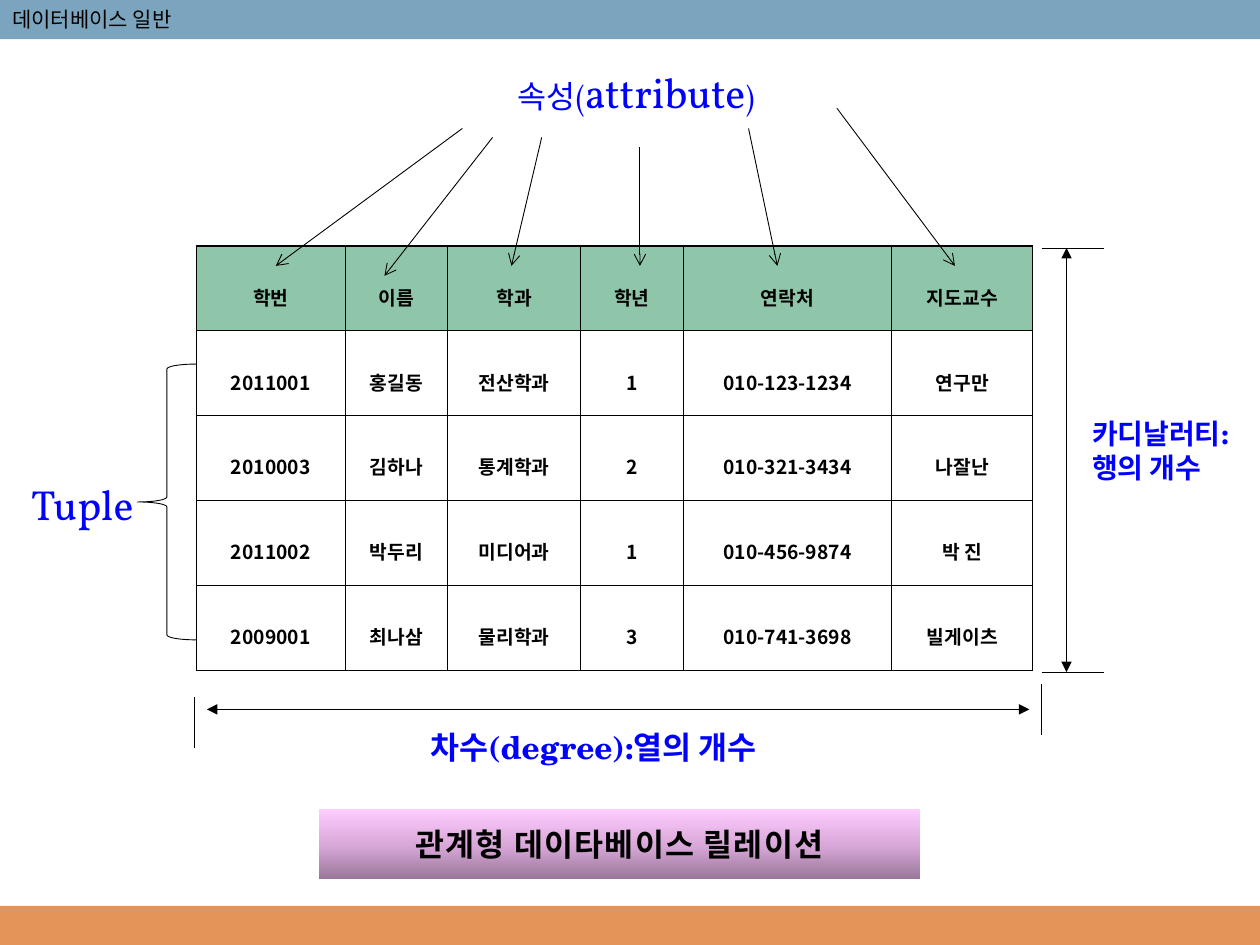
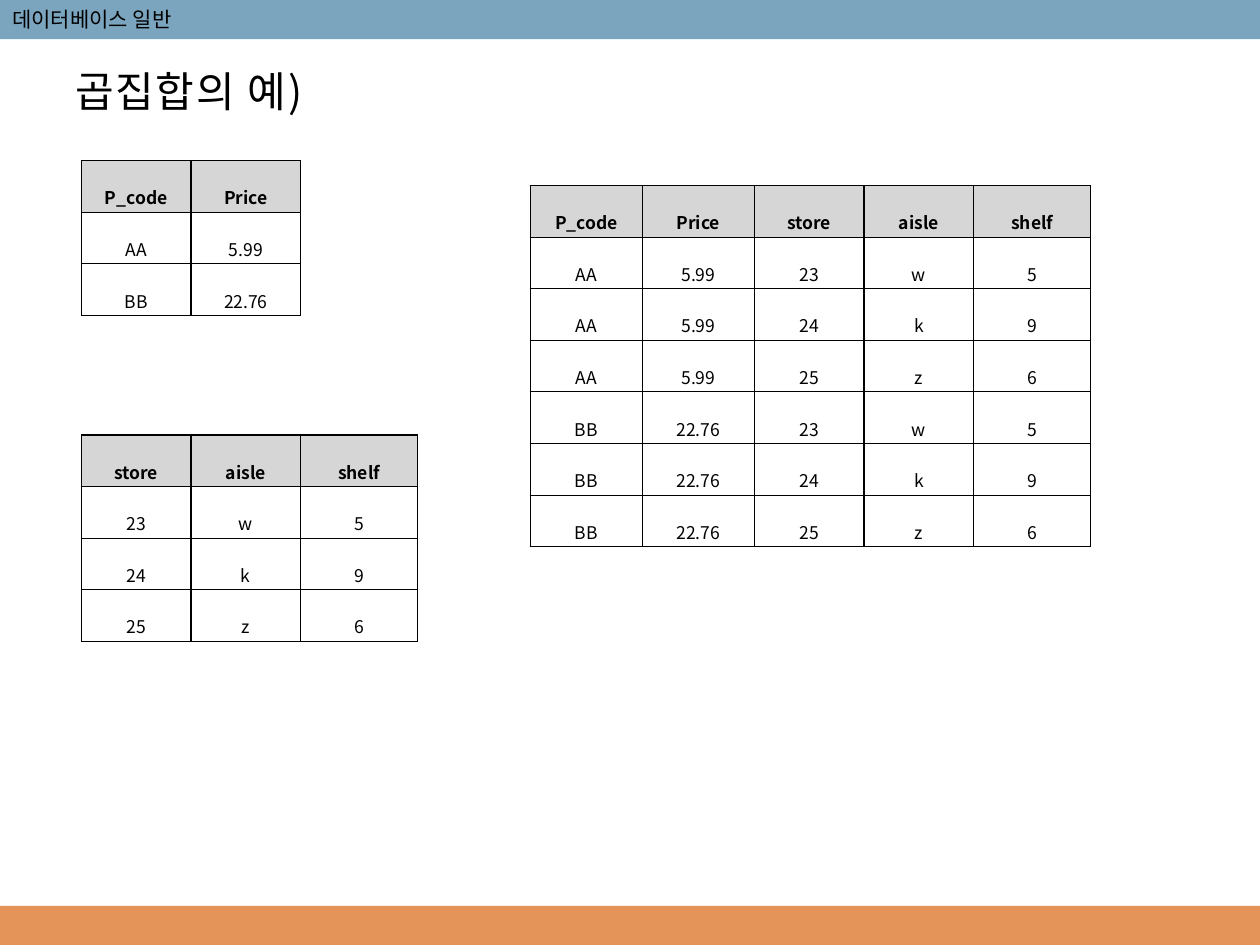
from copy import deepcopy
from dataclasses import dataclass
from itertools import product

from lxml.etree import SubElement
from pptx import Presentation
from pptx.dml.color import RGBColor as RGB
from pptx.enum.shapes import MSO_CONNECTOR as CONN, MSO_SHAPE as SHAPE
from pptx.enum.text import MSO_ANCHOR as ANCHOR, MSO_AUTO_SIZE as AUTO, PP_ALIGN as ALIGN
from pptx.oxml.ns import qn
from pptx.util import Cm, Pt


@dataclass(frozen=True)
class Theme:
    black: str = "000000"
    label: str = "0000FF"
    top_band: str = "7BA5BE"
    bottom_band: str = "E49458"
    relation_head: str = "8FC5A9"
    product_head: str = "D6D6D6"
    caption_stops: tuple = ((0, "997799"), (0.5, "DAA9DA"), (1, "FFCCFF"))
    sans: str = "Noto Sans CJK KR"
    schola: str = "TeX Gyre Schola"
    vollkorn: str = "Vollkorn"
    big: int = 24
    medium: int = 18
    small: int = 16
    header: int = 12
    relation: int = 11
    cell: int = 10
    rule: float = 0.5
    border: float = 0.75
    cell_spacing: float = 1.6


T = Theme()
WIDTH, HEIGHT, BAND = 25.4, 19.05, 0.79


def add_run(p, text, size, font=T.sans, color=T.black, bold=False, spacing=0):
    r = p.add_run()
    r.text = text
    r.font.size = Pt(size)
    r.font.bold = bold
    r.font.name = font
    r.font.color.rgb = RGB.from_string(color)
    r_pr = r._r.get_or_add_rPr()
    SubElement(r_pr, qn("a:ea")).set("typeface", T.sans)
    if spacing:
        r_pr.set("spc", str(round(spacing * 100)))


def add_text(s, left, top, width, height, lines, **style):
    """Add a text box; each line is a list of (text, size) runs."""
    box = s.shapes.add_textbox(Cm(left), Cm(top), Cm(width), Cm(height))
    tf = box.text_frame
    tf.word_wrap = True
    tf.auto_size = AUTO.SHAPE_TO_FIT_TEXT
    for i, line in enumerate(lines):
        p = tf.add_paragraph() if i else tf.paragraphs[0]
        for text, size in line:
            add_run(p, text, size, **style)


def add_shape(s, kind, left, top, width, height, fill=None, line=None):
    sp = s.shapes.add_shape(kind, Cm(left), Cm(top), Cm(width), Cm(height))
    sp.shadow.inherit = False
    if fill:
        sp.fill.solid()
        sp.fill.fore_color.rgb = RGB.from_string(fill)
    else:
        sp.fill.background()
    if line:
        sp.line.color.rgb = RGB.from_string(line)
        sp.line.width = Pt(T.rule)
    else:
        sp.line.fill.background()
    return sp


def add_line(s, x1, y1, x2, y2, head=None, tail=None):
    """Add a thin black line with optional arrowheads at its start and end."""
    c = s.shapes.add_connector(CONN.STRAIGHT, Cm(x1), Cm(y1), Cm(x2), Cm(y2))
    c.line.color.rgb = RGB.from_string(T.black)
    c.line.width = Pt(T.rule)
    sp_pr = c._element.spPr
    ln = sp_pr.find(qn("a:ln"))
    for tag, kind in (("a:headEnd", head), ("a:tailEnd", tail)):
        if kind:
            SubElement(ln, qn(tag)).set("type", kind)
    SubElement(sp_pr, qn("a:effectLst"))


def add_cell_borders(cell):
    tc_pr = cell._tc.get_or_add_tcPr()
    for side in "LRTB":
        ln = SubElement(tc_pr, qn(f"a:ln{side}"), w=str(Pt(T.border)))
        fill = SubElement(ln, qn("a:solidFill"))
        SubElement(fill, qn("a:srgbClr"), val=T.black)


def fill_cell(cell, text, size, bold, fill, margins):
    """Write one cell; margins are side, top and bottom in cm."""
    side, top, bottom = map(Cm, margins)
    cell.margin_left = cell.margin_right = side
    cell.margin_top, cell.margin_bottom = top, bottom
    cell.vertical_anchor = ANCHOR.MIDDLE
    add_cell_borders(cell)
    if fill:
        cell.fill.solid()
        cell.fill.fore_color.rgb = RGB.from_string(fill)
    else:
        cell.fill.background()
    p = cell.text_frame.paragraphs[0]
    p.alignment = ALIGN.CENTER
    p.line_spacing = T.cell_spacing
    add_run(p, text, size, bold=bold)


def add_grid(s, left, top, widths, row_height, rows, size, head_fill, margins, bold_body=False):
    frame = s.shapes.add_table(len(rows), len(widths), Cm(left), Cm(top),
                               Cm(sum(widths)), Cm(row_height * len(rows)))
    table = frame.table
    table.first_row = table.horz_banding = False
    for column, width in zip(table.columns, widths):
        column.width = Cm(width)
    for i, values in enumerate(rows):
        table.rows[i].height = Cm(row_height)
        is_head = i == 0
        for j, value in enumerate(values):
            fill_cell(table.cell(i, j), value, size, is_head or bold_body,
                      head_fill if is_head else None, margins)


def add_caption(s, text, left, top, width, height):
    """Add the bar that shades from dark at its foot to light at its top."""
    sp = add_shape(s, SHAPE.RECTANGLE, left, top, width, height)
    sp.fill.gradient()
    sp.fill.gradient_angle = 90
    stops = sp._element.spPr.find(".//" + qn("a:gsLst"))
    stops.insert(1, deepcopy(stops[0]))
    for stop, (position, color) in zip(sp.fill.gradient_stops, T.caption_stops):
        stop.position = position
        stop.color.rgb = RGB.from_string(color)
    tf = sp.text_frame
    tf.vertical_anchor = ANCHOR.MIDDLE
    p = tf.paragraphs[0]
    p.alignment = ALIGN.CENTER
    add_run(p, text, T.medium, T.schola, bold=True, spacing=0.7)


def new_slide(prs):
    """Add a blank slide with the bands and the running header."""
    s = prs.slides.add_slide(prs.slide_layouts[6])
    add_shape(s, SHAPE.RECTANGLE, 0, HEIGHT - BAND, WIDTH, BAND, T.bottom_band)
    add_shape(s, SHAPE.RECTANGLE, 0, 0, WIDTH, BAND, T.top_band)
    add_text(s, 0, 0, 4.39, 0.76, [[("데이터베이스 일반", T.header)]])
    return s


def add_relation_slide(prs):
    s = new_slide(prs)
    students = [
        ("학번", "이름", "학과", "학년", "연락처", "지도교수"),
        ("2011001", "홍길동", "전산학과", "1", "010-123-1234", "연구만"),
        ("2010003", "김하나", "통계학과", "2", "010-321-3434", "나잘난"),
        ("2011002", "박두리", "미디어과", "1", "010-456-9874", "박 진"),
        ("2009001", "최나삼", "물리학과", "3", "010-741-3698", "빌게이츠"),
    ]
    add_grid(s, 3.96, 4.96, (3, 2.06, 2.69, 2.06, 4.21, 2.84), 1.71, students,
             T.relation, T.relation_head, (0.05, 0.05, 0.05), bold_body=True)

    attribute_arrows = [
        (9.32, 2.59, 5.56, 5.36), (16.87, 2.18, 19.25, 5.36),
        (15.09, 2.59, 15.67, 5.36), (12.9, 2.97, 12.9, 5.36),
        (10.92, 2.77, 10.31, 5.36), (9.93, 2.77, 7.75, 5.56),
    ]
    for ends in attribute_arrows:
        add_line(s, *ends, tail="arrow")
    add_text(s, 10.19, 1.22, 6.32, 1.3,
             [[("속성(", T.medium), ("attribute", T.big), (")", T.medium)]],
             font=T.vollkorn, color=T.label)

    add_shape(s, SHAPE.LEFT_BRACE, 2.77, 7.34, 1.19, 5.56, line=T.black)
    add_caption(s, "관계형 데이타베이스 릴레이션", 6.43, 16.31, 12.12, 1.42)
    add_text(s, 0.38, 9.53, 3.18, 1.3, [[("Tuple", T.big)]],
             font=T.vollkorn, color=T.label)

    bold_label = dict(font=T.schola, color=T.label, bold=True)
    for x, y in ((20.99, 13.79), (3.91, 14.05)):
        add_line(s, x, y, x, y + 1.02)
    add_line(s, 4.17, 14.3, 20.75, 14.3, "triangle", "triangle")
    add_text(s, 8.43, 14.55, 9.04, 1.02, [[("차수(degree):열의 개수", T.medium)]], **bold_label)

    table_top, table_bottom = 5, 13.55
    for y in (table_top, table_bottom):
        add_line(s, 21, y, 22.25, y)
    add_line(s, 21.5, table_top, 21.5, table_bottom, "triangle", "triangle")
    add_text(s, 21.77, 8.28, 3.63, 1.63,
             [[("카디날러티:", T.small)], [("행의 개수", T.small)]], **bold_label)


def add_product_slide(prs):
    s = new_slide(prs)
    add_text(s, 1.27, 1.19, 5.89, 1.55, [[("곱집합의 예)", T.big)]], spacing=1)

    price_head, prices = ("P_code", "Price"), [("AA", "5.99"), ("BB", "22.76")]
    place_head = ("store", "aisle", "shelf")
    places = [("23", "w", "5"), ("24", "k", "9"), ("25", "z", "6")]
    pairs = [price + place for price, place in product(prices, places)]
    place_widths = (2.21, 2.21, 2.36)
    grids = [
        (1.64, 3.24, (2.21, 2.21), [price_head, *prices]),
        (1.64, 8.77, place_widths, [place_head, *places]),
        (10.69, 3.74, (2.26, 2.26, *place_widths), [price_head + place_head, *pairs]),
    ]
    for left, top, widths, rows in grids:
        add_grid(s, left, top, widths, 1.04, rows, T.cell, T.product_head, (0.18, 0.18, 0.05))


def main():
    prs = Presentation()
    prs.slide_width, prs.slide_height = Cm(WIDTH), Cm(HEIGHT)
    add_relation_slide(prs)
    add_product_slide(prs)
    prs.save("out.pptx")


if __name__ == "__main__":
    main()
